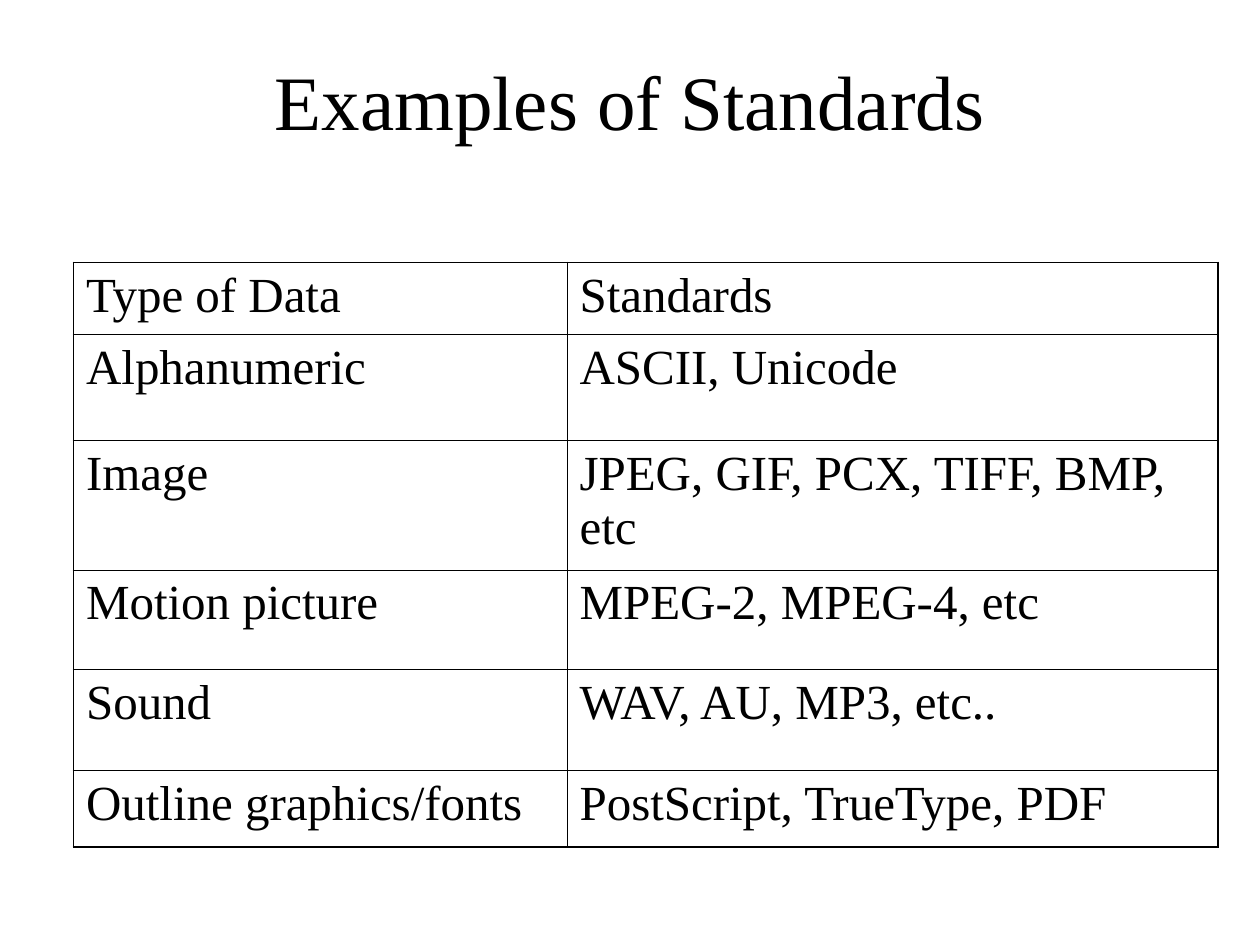
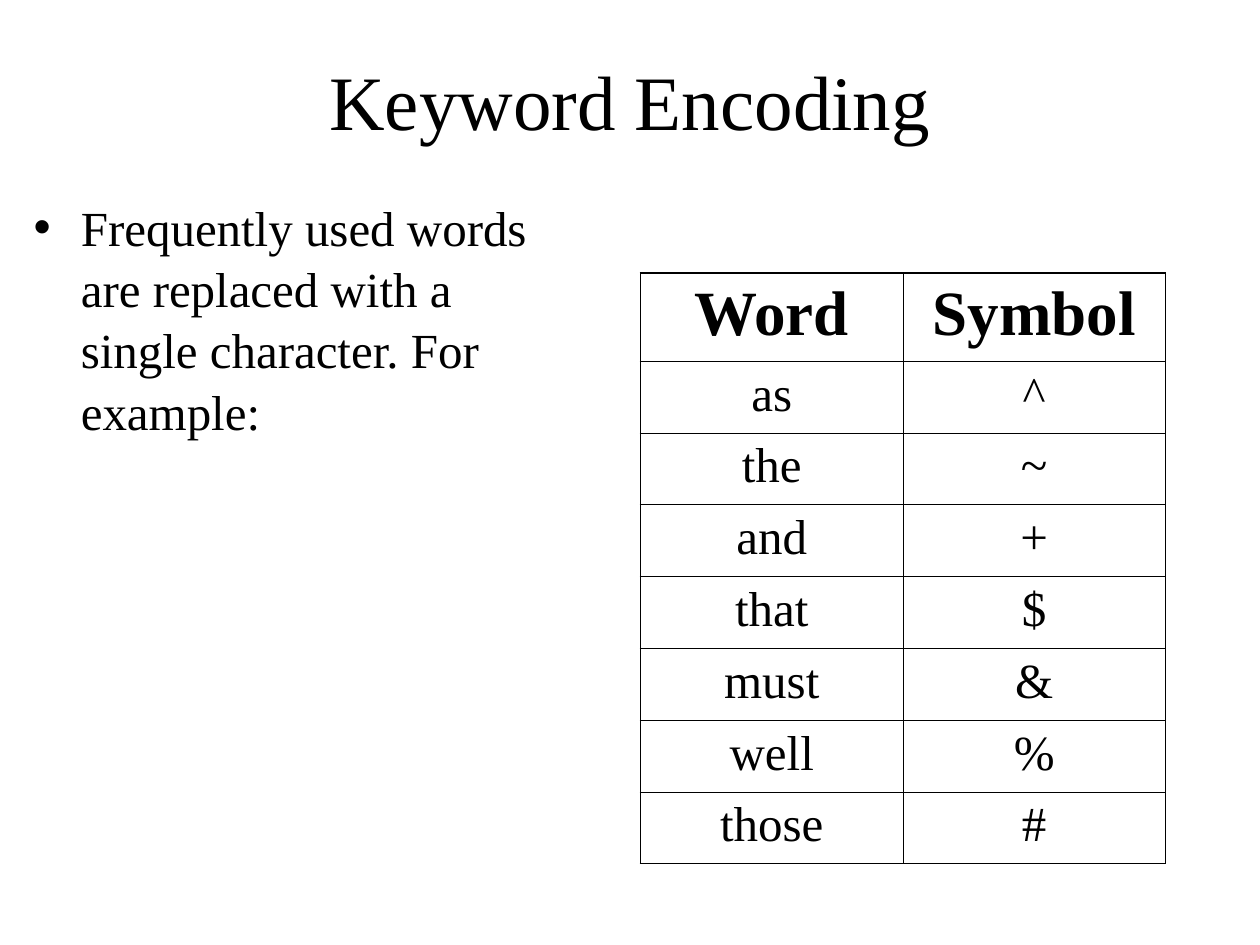
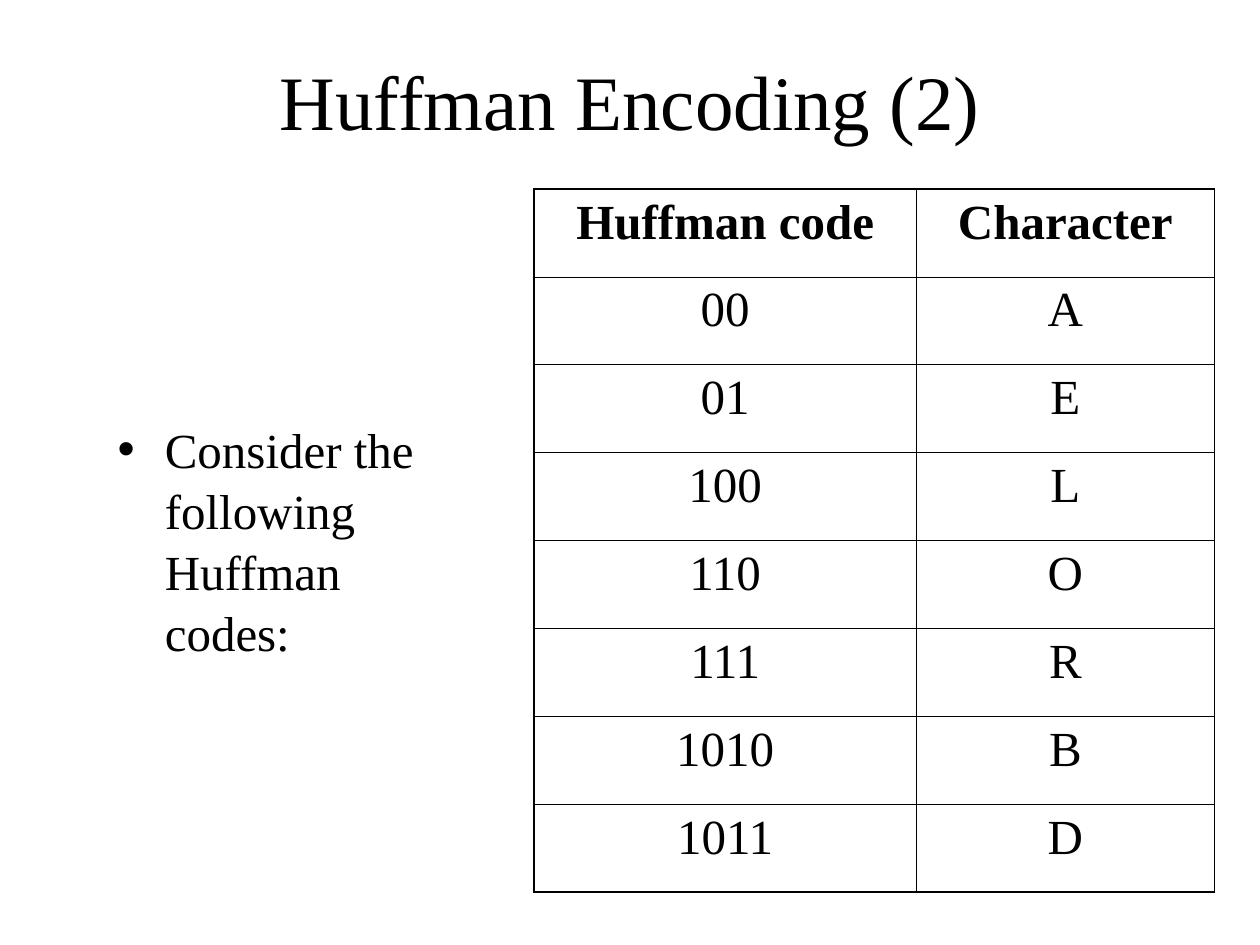
"""Build three slides on data standards, keyword encoding and Huffman encoding."""
from dataclasses import dataclass

from lxml.etree import SubElement
from pptx import Presentation
from pptx.dml.color import RGBColor
from pptx.enum.text import MSO_ANCHOR, MSO_AUTO_SIZE, PP_ALIGN
from pptx.oxml.ns import qn
from pptx.util import Inches, Pt


@dataclass(frozen=True)
class Theme:
    font: str = "Times New Roman"
    ink: str = "000000"
    paper: str = "FFFFFF"
    title_size: int = 44
    heading_size: int = 36
    text_size: int = 28
    outer_line: float = 1.08
    inner_line: float = 0.45


theme = Theme()
presentation = Presentation()
presentation.slide_width = Inches(10)
presentation.slide_height = Inches(7.5)
UNIT = presentation.slide_width / 60


def write(paragraph, text, size, alignment, bold=False):
    """Add one run in the theme's font and ink."""
    paragraph.alignment = alignment
    run = paragraph.add_run()
    run.text = text
    run.font.name = theme.font
    run.font.size = Pt(size)
    run.font.bold = bold
    run.font.color.rgb = RGBColor.from_string(theme.ink)


def place(shape, box):
    """Move a shape to a left, top, width and height in grid units."""
    shape.left, shape.top, shape.width, shape.height = (round(length * UNIT) for length in box)


pages = [
    {
        "title": "Examples of Standards",
        "table_at": (3.5, 12.5),
        "columns": (23.5, 31),
        "rows": (3.42, 5.04, 6.18, 4.74, 4.8, 3.66),
        "alignment": PP_ALIGN.LEFT,
        "heading_size": theme.text_size,
        "heading_bold": False,
        "filled": True,
        "cells": [
            ("Type of Data", "Standards"),
            ("Alphanumeric", "ASCII, Unicode"),
            ("Image", "JPEG, GIF, PCX, TIFF, BMP, etc"),
            ("Motion picture", "MPEG-2, MPEG-4, etc"),
            ("Sound", "WAV, AU, MP3, etc.."),
            ("Outline graphics/fonts", "PostScript, TrueType, PDF"),
        ],
    },
    {
        "title": "Keyword Encoding",
        "body": "Frequently used words are replaced with a single character. For example:",
        "body_box": (1, 9, 25.5, 33.5),
        "table_at": (30.5, 13),
        "columns": (12.5, 12.5),
        "rows": (4.2,) + (3.42,) * 7,
        "alignment": PP_ALIGN.CENTER,
        "heading_size": theme.heading_size,
        "heading_bold": True,
        "filled": False,
        "cells": [
            ("Word", "Symbol"),
            ("as", "^"),
            ("the", "~"),
            ("and", "+"),
            ("that", "$"),
            ("must", "&"),
            ("well", "%"),
            ("those", "#"),
        ],
    },
    {
        "title": "Huffman Encoding (2)",
        "body": "Consider the following Huffman codes:",
        "body_box": (5, 19.56, 17.64, 15.54),
        "table_at": (25.44, 9),
        "columns": (18.18, 14.22),
        "rows": (33.5 / 8,) * 8,
        "alignment": PP_ALIGN.CENTER,
        "heading_size": theme.text_size,
        "heading_bold": True,
        "filled": False,
        "cells": [
            ("Huffman code", "Character"),
            ("00", "A"),
            ("01", "E"),
            ("100", "L"),
            ("110", "O"),
            ("111", "R"),
            ("1010", "B"),
            ("1011", "D"),
        ],
    },
]

for page in pages:
    slide = presentation.slides.add_slide(presentation.slide_layouts[1 if "body" in page else 5])
    title = slide.shapes.title
    place(title, (1, 1, 58, 7.5))
    title.text_frame.vertical_anchor = MSO_ANCHOR.MIDDLE
    title.text_frame.auto_size = MSO_AUTO_SIZE.NONE
    write(title.text_frame.paragraphs[0], page["title"], theme.title_size, PP_ALIGN.CENTER)

    if "body" in page:
        body = slide.placeholders[1]
        place(body, page["body_box"])
        body.text_frame.auto_size = MSO_AUTO_SIZE.NONE
        paragraph = body.text_frame.paragraphs[0]
        paragraph.space_before = Pt(7)
        paragraph.line_spacing = 1.04
        write(paragraph, page["body"], theme.text_size, PP_ALIGN.LEFT)

    columns, rows = page["columns"], page["rows"]
    frame = slide.shapes.add_table(len(rows), len(columns), 0, 0, Inches(1), Inches(1))
    place(frame, (*page["table_at"], sum(columns), sum(rows)))
    table = frame.table
    table.first_row = False
    table.horz_banding = False
    for column, width in zip(table.columns, columns):
        column.width = round(width * UNIT)

    for row_index, (height, texts) in enumerate(zip(rows, page["cells"])):
        table.rows[row_index].height = round(height * UNIT)
        heading = row_index == 0
        size = page["heading_size"] if heading else theme.text_size
        for column_index, text in enumerate(texts):
            cell = table.cell(row_index, column_index)
            paragraph = cell.text_frame.paragraphs[0]
            paragraph.space_before = Pt(size / 4)
            write(paragraph, text, size, page["alignment"], heading and page["heading_bold"])
            outer_sides = {
                "a:lnL": column_index == 0,
                "a:lnR": column_index == len(columns) - 1,
                "a:lnT": heading,
                "a:lnB": row_index == len(rows) - 1,
            }
            properties = cell._tc.get_or_add_tcPr()
            for side, outer in outer_sides.items():
                width = Pt(theme.outer_line if outer else theme.inner_line)
                line = SubElement(properties, qn(side), w=str(width))
                SubElement(SubElement(line, qn("a:solidFill")), qn("a:srgbClr"), val=theme.ink)
            if page["filled"]:
                cell.fill.solid()
                cell.fill.fore_color.rgb = RGBColor.from_string(theme.paper)
            else:
                cell.fill.background()

presentation.save("out.pptx")
